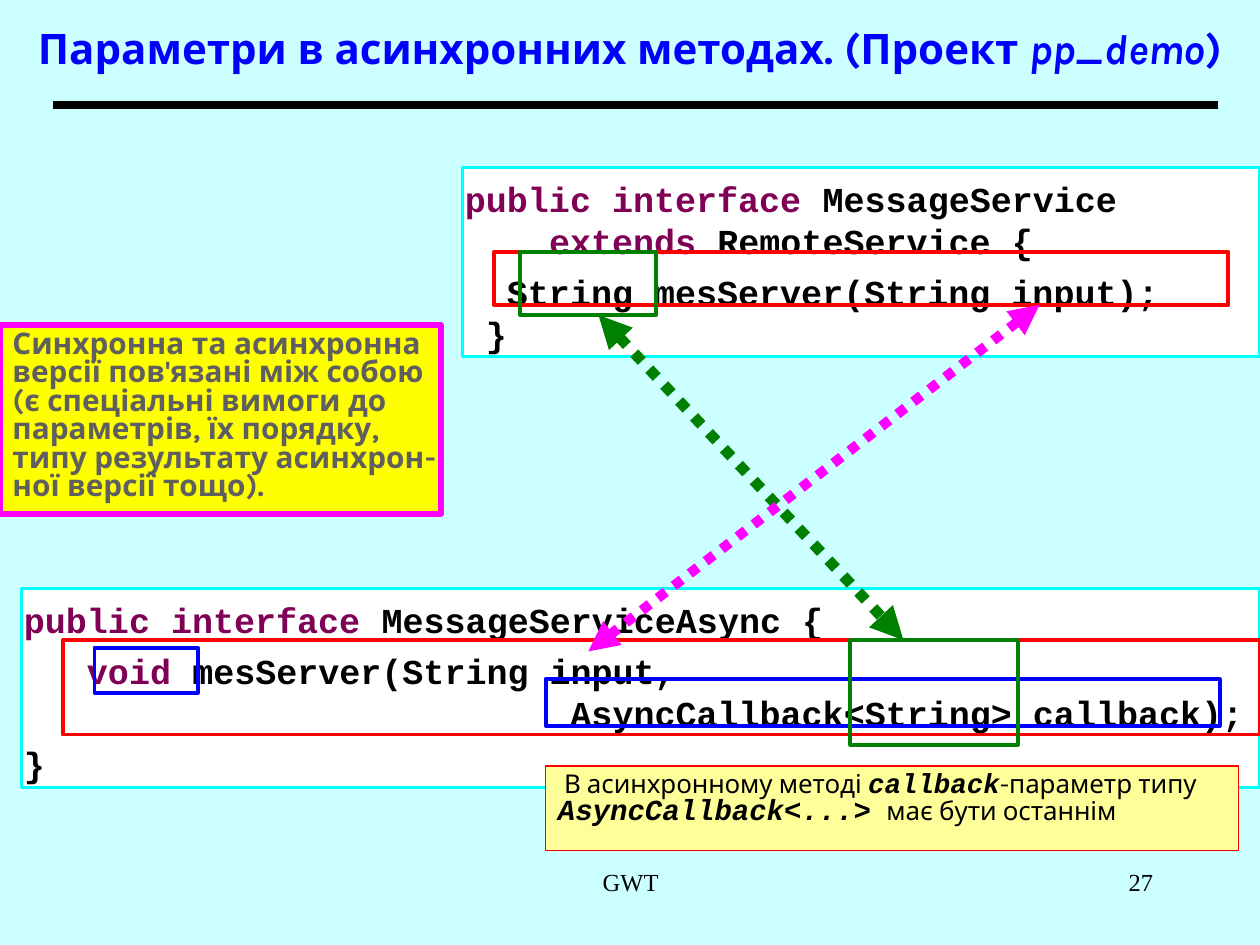
from pptx import Presentation
from pptx.dml.color import RGBColor
from pptx.enum.dml import MSO_LINE_DASH_STYLE as Dash
from pptx.enum.shapes import MSO_CONNECTOR as Connector, MSO_SHAPE as Shape
from pptx.enum.text import MSO_ANCHOR as Anchor, PP_ALIGN as Align
from pptx.oxml.ns import qn
from pptx.util import Inches, Pt
from lxml.etree import SubElement

KEYWORD, BLACK, BLUE = "7F0055", "000000", "0000FF"
RED, GREEN, CYAN, MAGENTA = "FF0000", "008000", "00FFFF", "FF00FF"
SANS, MONO, SERIF = "Karla", "Courier New", "Times New Roman"


def color(value):
    return RGBColor.from_string(value)


class SlideBuilder:
    """Holds the deck, the current page and the shared style."""

    def __init__(self, background):
        self.deck = Presentation()
        self.deck.slide_width, self.deck.slide_height = Inches(10), Inches(7.5)
        self.page = self.deck.slides.add_slide(self.deck.slide_layouts[6])
        self.page.background.fill.solid()
        self.page.background.fill.fore_color.rgb = color(background)

    def fill_text(self, box, paragraphs, insets=(0.1, 0.05, 0.1, 0.05), align=Align.LEFT,
                  spacing=None, before=0, anchor=Anchor.TOP):
        frame = box.text_frame
        frame.word_wrap = True
        frame.vertical_anchor = anchor
        (frame.margin_left, frame.margin_top,
         frame.margin_right, frame.margin_bottom) = map(Inches, insets)
        for index, spans in enumerate(paragraphs):
            para = frame.add_paragraph() if index else frame.paragraphs[0]
            para.alignment = align
            if spacing:
                para.line_spacing = spacing
            if index:
                para.space_before = Pt(before)
            for span in spans:
                self.add_span(para, *span)

    def add_span(self, para, text, size, font, ink=BLACK, bold=False, italic=False):
        for index, line in enumerate(text.split("\n")):
            if index:
                para.add_line_break()
            run = para.add_run()
            run.text = line
            run.font.size, run.font.name = Pt(size), font
            run.font.bold, run.font.italic = bold, italic
            run.font.color.rgb = color(ink)

    def text(self, place, spans, **layout):
        box = self.page.shapes.add_textbox(*map(Inches, place))
        self.fill_text(box, [spans], **layout)

    def frame(self, place, ink, width=2.25, fill=None):
        box = self.page.shapes.add_shape(Shape.RECTANGLE, *map(Inches, place))
        box.shadow.inherit = False
        box.line.color.rgb = color(ink)
        box.line.width = Pt(width)
        if fill:
            box.fill.solid()
            box.fill.fore_color.rgb = color(fill)
        else:
            box.fill.background()
        return box

    def note(self, place, ink, width, fill, spans, insets):
        box = self.frame(place, ink, width, fill)
        self.fill_text(box, [spans], insets, spacing=0.8)

    def code(self, place, paragraphs):
        box = self.frame(place, CYAN, 2, "FFFFFF")
        styled = [[(text, 20, MONO, ink, True) for text, ink in spans] for spans in paragraphs]
        self.fill_text(box, styled, (0.02, 0.08, 0, 0.01), before=5)

    def line(self, start, end, ink, width):
        line = self.page.shapes.add_connector(Connector.STRAIGHT, *map(Inches, start + end))
        line.line.color.rgb = color(ink)
        line.line.width = Pt(width)
        SubElement(line._element.spPr, qn("a:effectLst"))
        return line

    def dotted_arrow(self, start, end, ink, width):
        arrow = self.line(start, end, ink, width)
        arrow.line.dash_style = Dash.ROUND_DOT
        outline = arrow._element.spPr.find(qn("a:ln"))
        for tag in ("a:headEnd", "a:tailEnd"):
            SubElement(outline, qn(tag), type="triangle")


def main():
    slide = SlideBuilder("CCFFFF")
    slide.line((0.42, 0.83), (9.67, 0.83), BLACK, 4.5)
    slide.text((0, 0, 10, 0.83), [
        ("Параметри в асинхронних методах. (Проект ", 24, SANS, BLUE, True),
        ("pp_demo", 24, SANS, BLUE, True, True),
        (")", 24, SANS, BLUE, True),
    ], align=Align.CENTER, spacing=0.8, anchor=Anchor.MIDDLE)

    slide.code((3.67, 1.33, 6.33, 1.5), [
        [("public interface", KEYWORD), (" MessageService\n    ", BLACK),
         ("extends ", KEYWORD), ("RemoteService {", BLACK)],
        [("  String mesServer(String input);\n }", BLACK)],
    ])
    slide.code((0.17, 4.67, 9.83, 1.58), [
        [("public interface", KEYWORD), (" MessageServiceAsync {", BLACK)],
        [("   void", KEYWORD),
         (" mesServer(String input,\n" + " " * 26 + "AsyncCallback<String> callback);", BLACK)],
        [("}", BLACK)],
    ])

    for place, ink in (
        ((3.92, 2, 5.83, 0.42), RED),
        ((0.5, 5.08, 9.5, 0.75), RED),
        ((4.13, 2, 1.08, 0.5), GREEN),
        ((0.75, 5.14, 0.82, 0.36), BLUE),
        ((4.33, 5.39, 5.35, 0.37), BLUE),
    ):
        slide.frame(place, ink)
    slide.dotted_arrow((4.75, 2.5), (7.17, 5.08), GREEN, 6.25)
    slide.frame((6.75, 5.08, 1.33, 0.83), GREEN)

    slide.note((4.33, 6.08, 5.5, 0.67), RED, 1, "FFFF99", [
        (" В асинхронному методі ", 14.8, SANS),
        ("callback", 15.7, MONO, BLACK, True, True),
        ("-параметр типу ", 14.8, SANS),
        ("AsyncCallback<...>", 16.6, MONO, BLACK, True, True),
        (" ", 14.8, MONO),
        ("має бути останнім", 14.8, SANS),
    ], (0.1, 0.05, 0.1, 0.05))
    slide.dotted_arrow((8.25, 2.42), (4.67, 5.17), MAGENTA, 5.75)
    slide.note((0, 2.58, 3.5, 1.5), MAGENTA, 3, "FFFF00", [
        ("Синхронна та асинхронна версії пов'язані між собою (є спеціальні вимоги "
         "до параметрів, їх порядку, типу результату асинхрон-ної версії тощо).",
         17, SANS, "5F5F5F", True),
    ], (0.1, 0.05, 0.02, 0.05))

    slide.text((3.42, 6.83, 3.17, 0.5), [("GWT", 14, SERIF)], align=Align.CENTER)
    slide.text((7.17, 6.83, 2.08, 0.5), [("27", 14, SERIF)], align=Align.RIGHT)
    slide.deck.save("out.pptx")


if __name__ == "__main__":
    main()
